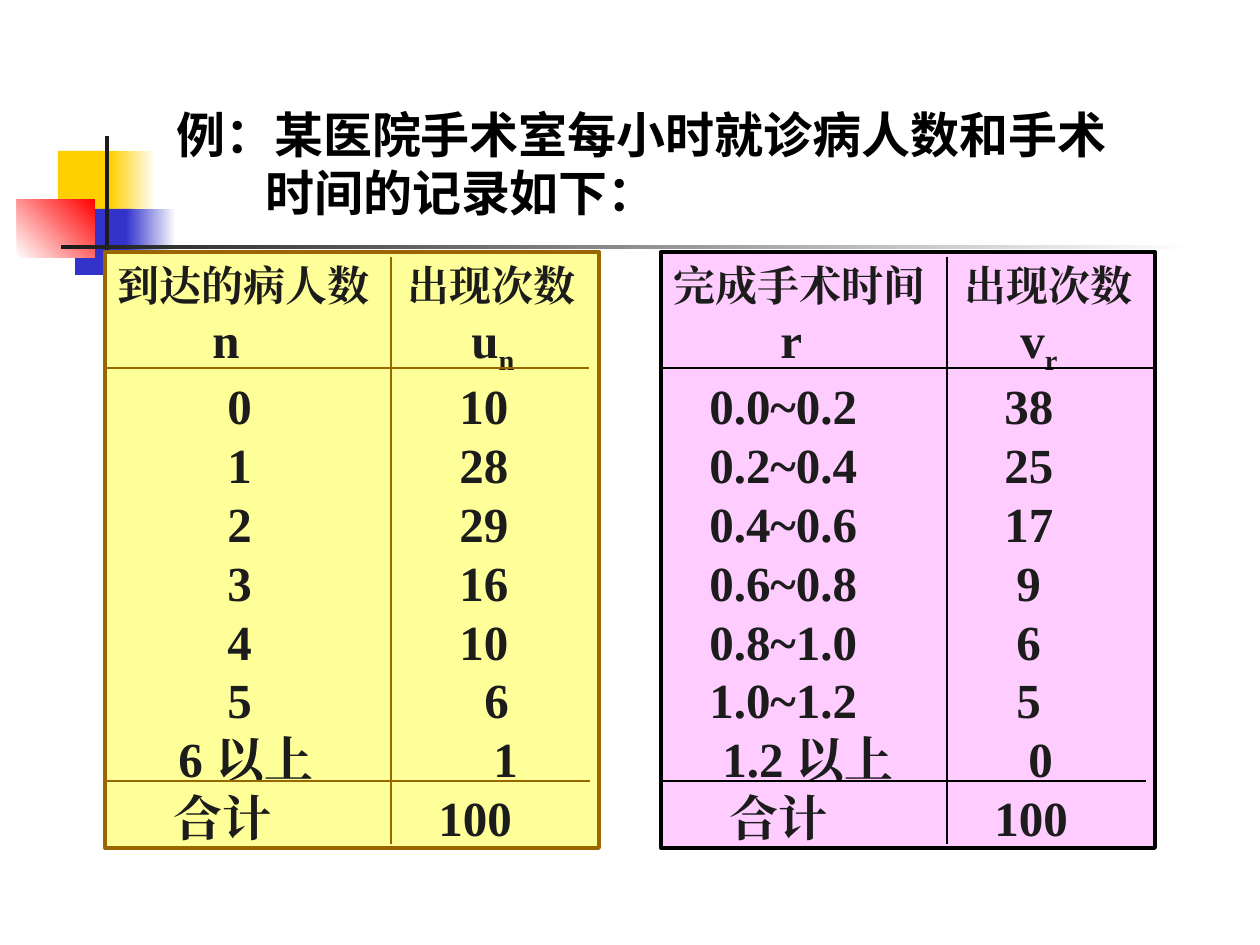
from lxml import etree
from pptx import Presentation
from pptx.dml.color import RGBColor
from pptx.enum.shapes import MSO_CONNECTOR, MSO_SHAPE
from pptx.enum.text import MSO_ANCHOR, PP_ALIGN
from pptx.oxml.ns import qn
from pptx.util import Emu, Pt

RECT = MSO_SHAPE.RECTANGLE
STRAIGHT = MSO_CONNECTOR.STRAIGHT
LEFT = PP_ALIGN.LEFT
TOP = MSO_ANCHOR.TOP

COLORS = {
    "white": "FFFFFF", "black": "000000", "ink": "1C1C1C",
    "gold": "FFCF01", "blue": "3333CC", "red": "FF0000",
    "yellow": "FFFF99", "brown": "996600", "pink": "FFCCFF",
}
TITLE_FONT = "Roboto"
TABLE_FONT = "Times New Roman"


def px(value):
    return Emu(round(value * 914400 / 126))


def rgb(name):
    return RGBColor.from_string(COLORS[name])


class SlideBuilder:
    def __init__(self, slide):
        self.slide = slide

    def rect(self, x, y, w, h, fill, fade_to=None, angle=0, line=None):
        shape = self.slide.shapes.add_shape(RECT, px(x), px(y), px(w), px(h))
        shape.shadow.inherit = False
        if fade_to:
            shape.fill.gradient()
            shape.fill.gradient_angle = angle
            for stop, color in zip(shape.fill.gradient_stops, (fill, fade_to)):
                stop.color.rgb = rgb(color)
        else:
            shape.fill.solid()
            shape.fill.fore_color.rgb = rgb(fill)
        if line:
            shape.line.color.rgb = rgb(line)
            shape.line.width = Pt(2.25)
        else:
            shape.line.fill.background()
        return shape

    def rule(self, x1, y1, x2, y2, color):
        line = self.slide.shapes.add_connector(STRAIGHT, px(x1), px(y1), px(x2), px(y2))
        line.line.color.rgb = rgb(color)
        line.line.width = Pt(0.75)
        etree.SubElement(line._element.spPr, qn("a:effectLst"))

    def run(self, paragraph, text, size, font, color, subscript=False):
        run = paragraph.add_run()
        run.text = text
        run.font.size = Pt(size)
        run.font.bold = True
        run.font.name = font
        run.font.color.rgb = rgb(color)
        props = run._r.get_or_add_rPr()
        etree.SubElement(props, qn("a:ea")).set("typeface", font)
        if subscript:
            props.set("baseline", "-25000")

    def paragraph(self, frame, index, spacing, indent=0, tabs=()):
        paragraph = frame.paragraphs[0] if index == 0 else frame.add_paragraph()
        paragraph.alignment = LEFT
        paragraph.line_spacing = Pt(spacing)
        props = paragraph._p.get_or_add_pPr()
        if indent:
            props.set("marL", str(px(indent)))
        if tabs:
            tab_list = etree.SubElement(props, qn("a:tabLst"))
            for tab in tabs:
                stop = etree.SubElement(tab_list, qn("a:tab"))
                stop.set("pos", str(px(tab)))
                stop.set("algn", "l")
        return paragraph

    def title(self, x, y, w, h, lines):
        frame = self.slide.shapes.add_textbox(px(x), px(y), px(w), px(h)).text_frame
        frame.word_wrap = True
        for index, (indent, text) in enumerate(lines):
            paragraph = self.paragraph(frame, index, 33.6, indent)
            self.run(paragraph, text, 28, TITLE_FONT, "black")

    def record(self, x, fill, line, head_end, header, symbols, rows):
        """Framed record: a heading, a symbol row and rows set on tab stops."""
        y = 252
        frame = self.rect(x, y, 494, 596, fill, line=line).text_frame
        frame.word_wrap = True
        frame.vertical_anchor = TOP
        frame.margin_bottom = 0

        # Heading and symbols
        label, value, value_tab = header
        paragraph = self.paragraph(frame, 0, 29.5, tabs=(value_tab,))
        self.run(paragraph, f"{label}\t{value}", 24, TABLE_FONT, "ink")
        label, value, index_letter, tabs = symbols
        paragraph = self.paragraph(frame, 1, 37.8, tabs=tabs)
        self.run(paragraph, f"\t{label}\t{value}", 28, TABLE_FONT, "ink")
        self.run(paragraph, index_letter, 28, TABLE_FONT, "ink", subscript=True)

        # Counts and total
        for number, (label, value, *tabs) in enumerate(rows, start=2):
            paragraph = self.paragraph(frame, number, 33.6, tabs=tabs)
            self.run(paragraph, f"\t{label}\t{value}", 28, TABLE_FONT, "ink")

        # Rules
        self.rule(x, y + 116, x + head_end, y + 116, line)
        self.rule(x + 286, y + 5, x + 286, y + 592, line)
        self.rule(x + 2, y + 529, x + 485, y + 529, line)


def main():
    prs = Presentation()
    prs.slide_width, prs.slide_height = px(1260), px(945)
    page = SlideBuilder(prs.slides.add_slide(prs.slide_layouts[6]))

    # Corner ornament
    page.rect(58, 151, 60, 66, "gold")
    page.rect(110, 151, 46, 66, "gold", "white")
    page.rect(75, 209, 58, 66, "blue")
    page.rect(126, 209, 50, 66, "blue", "white")
    page.rect(17, 199, 78, 59, "white", "red", angle=45)
    page.rect(105, 136, 4, 145, "ink")
    page.rect(61, 245, 1134, 4, "ink", "white")

    # Title
    page.title(164, 98, 1006, 136, [
        (0, "例：某医院手术室每小时就诊病人数和手术"),
        (89, "时间的记录如下："),
    ])

    # Arrivals per hour
    arrivals = [(n, count, 110, 342) for n, count in enumerate((10, 28, 29, 16, 10))]
    arrivals += [(5, 6, 110, 367), ("6 以上", 1, 61, 376), ("合计", 100, 56, 321)]
    page.record(105, "yellow", "brown", 484, ("到达的病人数", "出现次数", 290),
                ("n", "u", "n", (95, 354)), arrivals)

    # Operation times
    times = [(f"{i / 5:.1f}~{(i + 1) / 5:.1f}", count, 36, 331 if count > 9 else 343)
             for i, count in enumerate((38, 25, 17, 9, 6, 5))]
    times += [("1.2 以上", 0, 49, 355), ("合计", 100, 56, 321)]
    page.record(661, "pink", "black", 494, ("完成手术时间", "出现次数", 291),
                ("r", "v", "r", (107, 347)), times)

    prs.save("out.pptx")


if __name__ == "__main__":
    main()
